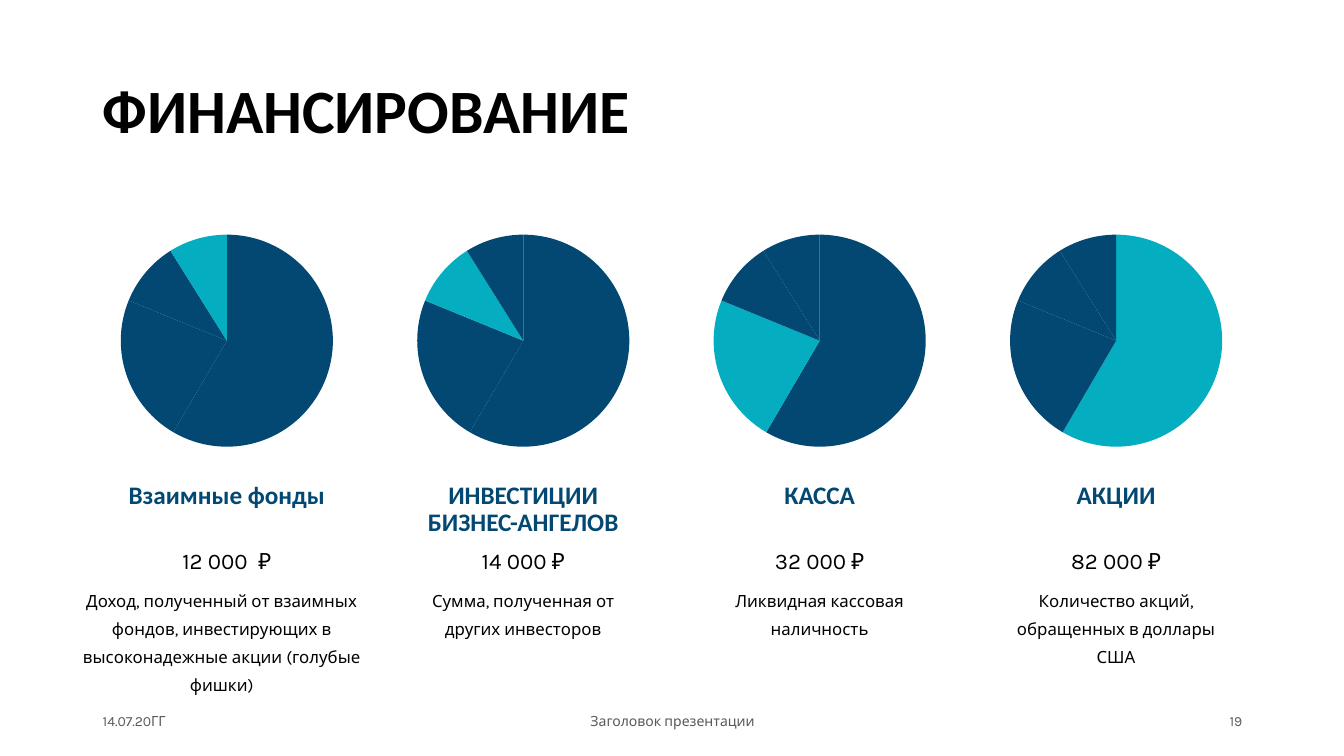
from pptx import Presentation
from pptx import util as u
from pptx.chart import data as chart_data
from pptx.dml import color
from pptx.enum import chart as chart_enum
from pptx.enum import text

COLORS = {
    "navy": "024873",
    "teal": "04ADBF",
    "black": "000000",
    "grey": "595959",
}
HEADING_FONT = "Calibri"
BODY_FONT = "Karla"
LEFT, CENTER, RIGHT = text.PP_ALIGN.LEFT, text.PP_ALIGN.CENTER, text.PP_ALIGN.RIGHT
TOP, MIDDLE = text.MSO_ANCHOR.TOP, text.MSO_ANCHOR.MIDDLE

# Shares of the four funding sources, shown in every pie
SHARES = (59, 23, 10, 9)

# Heading, amount, description, highlighted slice, extra (shift, width) of description
SOURCES = [
    ("Взаимные фонды", "12 000  ₽",
     "Доход, полученный от взаимных фондов, инвестирующих в "
     "высоконадежные акции (голубые фишки)", 3, (-0.48, 3.36, 1.06)),
    ("ИНВЕСТИЦИИ БИЗНЕС-АНГЕЛОВ", "14 000 ₽",
     "Сумма, полученная от других инвесторов", 2, (0, 2.5, 0.8)),
    ("КАССА", "32 000 ₽",
     "Ликвидная кассовая наличность", 1, (0, 2.5, 0.8)),
    ("АКЦИИ", "82 000 ₽",
     "Количество акций, обращенных в доллары США", 0, (0, 2.5, 0.8)),
]


def rgb(name):
    return color.RGBColor.from_string(COLORS[name])


def add_text(slide, box, words, size, hue="black", font=BODY_FONT, bold=False,
             align=CENTER, anchor=TOP, spacing=None):
    frame = slide.shapes.add_textbox(*map(u.Inches, box)).text_frame
    frame.word_wrap = True
    frame.vertical_anchor = anchor
    paragraph = frame.paragraphs[0]
    paragraph.alignment = align
    paragraph.line_spacing = spacing
    run = paragraph.add_run()
    run.text = words
    run.font.size = u.Pt(size)
    run.font.name = font
    run.font.bold = bold
    run.font.color.rgb = rgb(hue)


def add_pie(slide, box, highlighted):
    shares = chart_data.CategoryChartData()
    shares.categories = [str(i + 1) for i in range(len(SHARES))]
    shares.add_series("Series 1", SHARES)
    pie = slide.shapes.add_chart(
        chart_enum.XL_CHART_TYPE.PIE, *map(u.Inches, box), shares).chart
    pie.has_title = False
    pie.has_legend = False
    pie.font.size = u.Pt(10)
    pie.font.name = BODY_FONT
    pie.font.color.rgb = rgb("black")
    plot = pie.plots[0]
    plot.vary_by_categories = True
    for i in range(len(SHARES)):
        slice_format = plot.series[0].points[i].format
        slice_format.fill.solid()
        slice_format.fill.fore_color.rgb = rgb("teal" if i == highlighted else "navy")
        slice_format.line.fill.background()


def add_source(slide, box, source):
    """One column: pie, heading, amount and description."""
    left, top, width = box
    heading, amount, description, highlighted, (shift, wide, tall) = source
    add_pie(slide, (left, top, width, 2.38), highlighted)
    add_text(slide, (left, top + 2.55, width, 0.6), heading, 18, "navy",
             HEADING_FONT, bold=True, spacing=0.9)
    add_text(slide, (left, top + 3.18, width, 0.3), amount, 16, spacing=u.Pt(20))
    add_text(slide, (left + shift, top + 3.54, wide, tall), description, 12,
             spacing=u.Pt(20))


def add_footer(slide, box):
    """Date, presentation title and slide number in one row."""
    left, top, width, height = box
    side = 3
    parts = [
        ("14.07.20ГГ", left, side, LEFT),
        ("Заголовок презентации", left + side + 0.5, width - 2 * side - 1, CENTER),
        ("19", left + width - side, side, RIGHT),
    ]
    for words, part_left, part_width, align in parts:
        add_text(slide, (part_left, top, part_width, height), words, 10, "grey",
                 align=align, anchor=MIDDLE)


def main():
    deck = Presentation()
    deck.slide_width, deck.slide_height = u.Inches(13.33), u.Inches(7.5)
    slide = deck.slides.add_slide(deck.slide_layouts[6])

    # Title
    add_text(slide, (0.92, 0.4, 11.5, 1.45), "ФИНАНСИРОВАНИЕ", 44,
             font=HEADING_FONT, bold=True, align=LEFT, anchor=MIDDLE, spacing=0.9)

    # Funding sources in four equal columns
    for column, source in enumerate(SOURCES):
        add_source(slide, (1 + 2.94 * column, 2.19, 2.5), source)

    # Footer
    add_footer(slide, (0.92, 6.95, 11.5, 0.4))

    deck.save("out.pptx")


if __name__ == "__main__":
    main()
